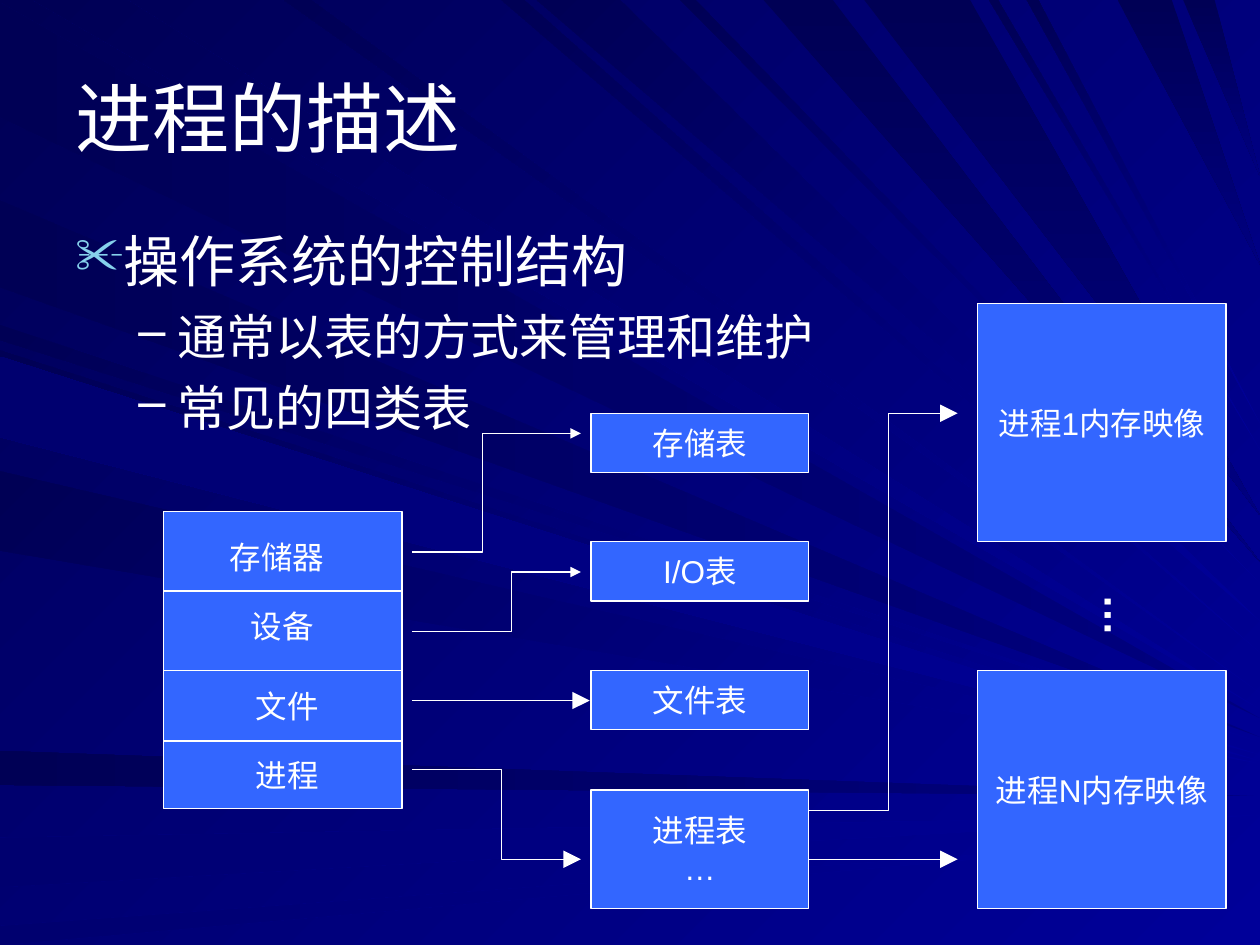
from collections import namedtuple

from lxml.etree import SubElement
from pptx import Presentation
from pptx.dml.color import RGBColor
from pptx.enum.shapes import MSO_CONNECTOR, MSO_SHAPE
from pptx.enum.text import MSO_ANCHOR, PP_ALIGN
from pptx.oxml.ns import qn
from pptx.util import Pt

SCALE = 9144
FONT = "Arial"
WHITE = RGBColor(0xFF, 0xFF, 0xFF)
BLUE = RGBColor(0x33, 0x66, 0xFF)
SKY = RGBColor(0x86, 0xD1, 0xEC)
ROYAL = RGBColor(0x00, 0x00, 0x99)
NAVY = RGBColor(0x00, 0x00, 0x80)
DUSK = RGBColor(0x00, 0x00, 0x6F)
NIGHT = RGBColor(0x00, 0x00, 0x55)

BEAM = (ROYAL, NIGHT, 135)
HAZE = (NAVY, NIGHT, 180)
GLOW = (ROYAL, DUSK, 180)
CURTAIN = (NIGHT, NAVY, 270)

Box = namedtuple("Box", "left top width height")
Ray = namedtuple("Ray", "style side start end tip")

RAYS = [
    Ray(HAZE, "left", 2, 93, 570),
    Ray(BEAM, "top", 26, 101, 563),
    Ray(HAZE, "left", 596, 623, 632),
    Ray(GLOW, "left", 665, 704, 647),
    Ray(GLOW, "left", 735, 750, 662),
    Ray(BEAM, "left", 258, 270, 589),
    Ray(HAZE, "left", 159, 228, 585),
    Ray(BEAM, "top", 398, 416, 518),
    Ray(BEAM, "top", 426, 492, 493),
    Ray(BEAM, "top", 540, 552, 463),
    Ray(CURTAIN, "top", 606, 661, 446),
    Ray(CURTAIN, "top", 887, 930, 210),
    Ray(CURTAIN, "top", 939, 964, 140),
    Ray(BEAM, "left", 278, 342, 599),
    Ray(BEAM, "left", 374, 437, 606),
    Ray(BEAM, "top", 225, 247, 550),
    Ray(CURTAIN, "top", 686, 770, 409),
    Ray(BEAM, "top", 785, 792, 357),
    Ray(BEAM, "top", 815, 824, 336),
    Ray(GLOW, "left", 283, 347, 604),
]


def emu(*lengths):
    return [length * SCALE for length in lengths]


def paint(fill, start, end, angle):
    fill.gradient()
    fill.gradient_angle = angle
    for stop, color in zip(fill.gradient_stops, (start, end)):
        stop.color.rgb = color


def outline(page, box, points, close):
    moved = [(box.left + x, box.top + y) for x, y in points]
    builder = page.shapes.build_freeform(*moved[0], scale=SCALE)
    builder.add_line_segments(moved[1:], close=close)
    shape = builder.convert_to_shape()
    shape.shadow.inherit = False
    return shape


def stroke(shape):
    shape.line.color.rgb = WHITE
    shape.line.width = Pt(0.75)


def straight(page, box, start, end):
    (x1, y1), (x2, y2) = start, end
    line = page.shapes.add_connector(
        MSO_CONNECTOR.STRAIGHT,
        *emu(box.left + x1, box.top + y1, box.left + x2, box.top + y2))
    stroke(line)
    SubElement(line._element.spPr, qn("a:effectLst"))
    return line


def arrow(page, box, start, end, bend=None, size="lg"):
    if bend is None:
        shape = straight(page, box, (0, start), (box.width, end))
    else:
        points = [(0, start), (bend, start), (bend, end), (box.width, end)]
        shape = outline(page, box, points, False)
        shape.fill.background()
        stroke(shape)
    SubElement(shape.line._get_or_add_ln(), qn("a:tailEnd"), type="triangle", w=size, len=size)


def write(frame, lines, size, align=PP_ALIGN.CENTER, before=0):
    frame.text = "\n".join(lines)
    for para in frame.paragraphs:
        para.alignment = align
        para.space_before = Pt(before)
        para.font.name = FONT
        para.font.size = Pt(size)
        para.font.color.rgb = WHITE


def text_box(page, box, lines, size, **style):
    frame = page.shapes.add_textbox(*emu(*box)).text_frame
    frame.word_wrap = True
    write(frame, lines, size, **style)
    return frame


def block(page, box, *lines):
    shape = page.shapes.add_shape(MSO_SHAPE.RECTANGLE, *emu(*box))
    shape.shadow.inherit = False
    shape.fill.solid()
    shape.fill.fore_color.rgb = BLUE
    stroke(shape)
    shape.text_frame.word_wrap = False
    shape.text_frame.vertical_anchor = MSO_ANCHOR.MIDDLE
    write(shape.text_frame, lines, 18)


def backdrop(page, box):
    paint(page.background.fill, *BEAM)
    for ray in RAYS:
        base = [(0, at) if ray.side == "left" else (at, 0) for at in (ray.start, ray.end)]
        shape = outline(page, box, [*base, (box.width, ray.tip)], True)
        paint(shape.fill, *ray.style)
        shape.line.fill.background()


def heading(page, box):
    frame = text_box(page, box, ["进程的描述"], 44, align=PP_ALIGN.LEFT)
    frame.vertical_anchor = MSO_ANCHOR.MIDDLE


def bullet(para, mark, color, margin, hang, percent):
    props = para._p.get_or_add_pPr()
    props.set("marL", str(margin * SCALE))
    props.set("indent", str(-hang * SCALE))
    extras = [SubElement(props, qn("a:buClr")),
              SubElement(props, qn("a:buSzPct"), val=str(percent * 1000)),
              SubElement(props, qn("a:buChar"), char=mark)]
    SubElement(extras[0], qn("a:srgbClr"), val=str(color))
    default = props.find(qn("a:defRPr"))
    for extra in extras:
        default.addprevious(extra)


def outline_text(page, box):
    lines = ["操作系统的控制结构", "通常以表的方式来管理和维护", "常见的四类表"]
    frame = text_box(page, box, lines, 28, align=PP_ALIGN.LEFT, before=7)
    first, *rest = frame.paragraphs
    first.font.size, first.space_before = Pt(32), Pt(8)
    bullet(first, "✂", SKY, 38, 38, 90)
    for para in rest:
        para.level = 1
        bullet(para, "–", WHITE, 81, 31, 100)


def resource_list(page, box):
    block(page, box)
    for y in (63, 126, 182):
        straight(page, box, (0, y), (box.width, y))
    for text, x, y, width in [("存储器", 15, 16, 150), ("设备", 39, 71, 110),
                              ("文件", 39, 134, 118), ("进程", 39, 189, 118)]:
        text_box(page, Box(box.left + x, box.top + y, width, 40), [text], 18, before=11.2)


def control_tables(page, box):
    height = 47
    for index, name in enumerate(["存储表", "I/O表", "文件表"]):
        block(page, Box(box.left, box.top + 102 * index, box.width, height), name)
    last = Box(box.left, box.top + box.height - 2 * height, box.width, 2 * height)
    block(page, last, "进程表", "…")


def memory_images(page, box):
    side = 189
    block(page, Box(box.left, box.top, box.width, side), "进程1内存映像")
    block(page, Box(box.left, box.top + box.height - side, box.width, side), "进程N内存映像")
    frame = text_box(page, Box(box.left + 79, box.top + 221, 60, 63), ["…"], 24,
                     align=PP_ALIGN.LEFT, before=15)
    frame.paragraphs[0].font.bold = True
    frame.margin_left = frame.margin_right = 5 * SCALE
    frame.margin_top = frame.margin_bottom = 10 * SCALE
    frame._txBody.bodyPr.set("vert", "eaVert")


def list_arrows(page, box):
    arrow(page, box, 94, 0, 56, "med")
    arrow(page, box, 157, 110, 79, "med")
    arrow(page, box._replace(width=141), 212, 212)
    arrow(page, box, 267, 338, 71)


def process_arrows(page, box):
    arrow(page, box, 315, 0, 63)
    arrow(page, box, box.height, box.height)


def main():
    deck = Presentation()
    deck.slide_width, deck.slide_height = emu(1000, 750)
    page = deck.slides.add_slide(deck.slide_layouts[6])
    backdrop(page, Box(0, 0, 1000, 750))
    heading(page, Box(50, 30, 900, 125))
    outline_text(page, Box(50, 175, 900, 495))
    resource_list(page, Box(130, 406, 189, 236))
    control_tables(page, Box(469, 328, 173, 393))
    list_arrows(page, Box(327, 344, 134, 338))
    memory_images(page, Box(776, 241, 197, 480))
    process_arrows(page, Box(642, 328, 118, 354))
    deck.save("out.pptx")


if __name__ == "__main__":
    main()
